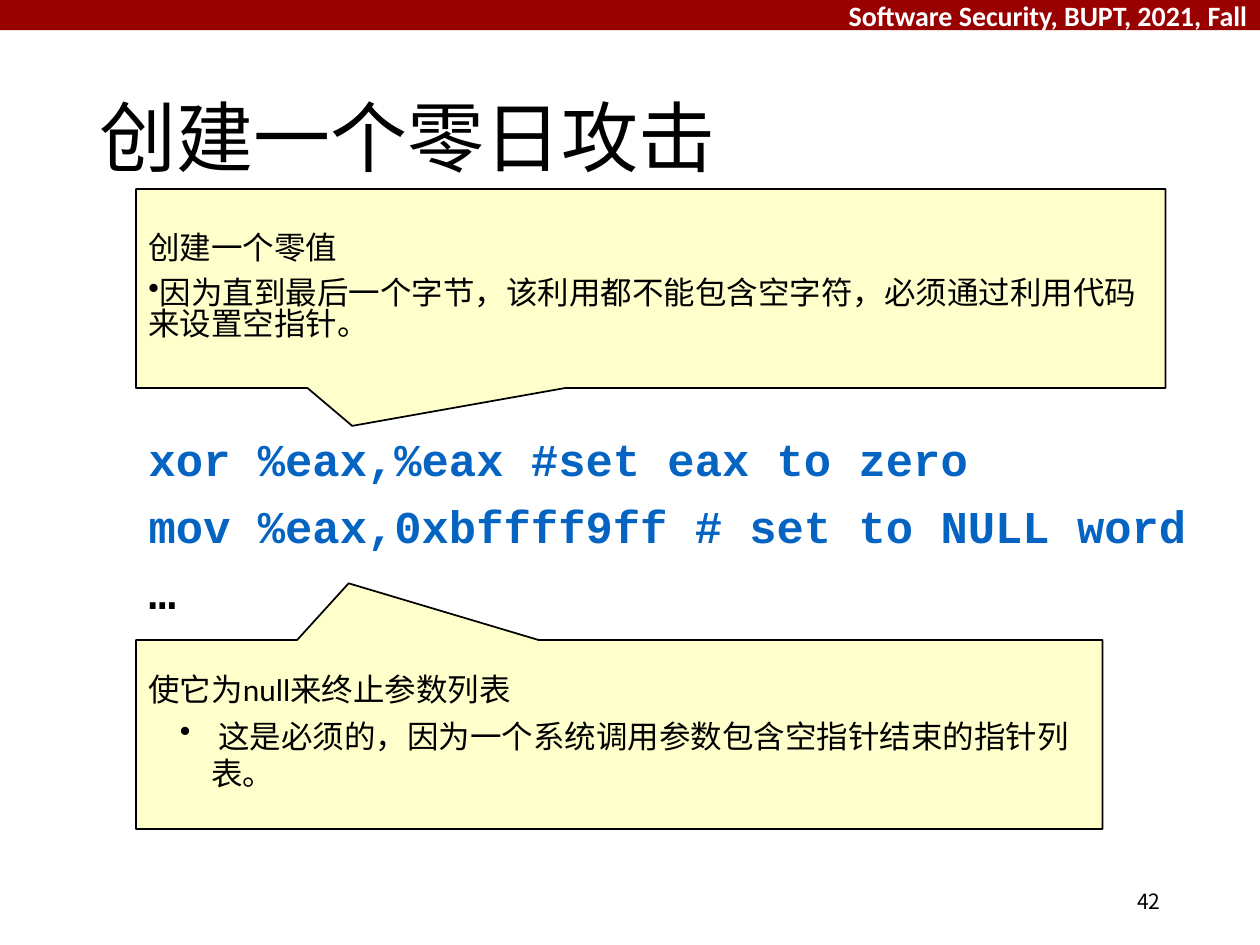
from dataclasses import dataclass

from lxml.etree import SubElement
from pptx import Presentation
from pptx.dml.color import RGBColor
from pptx.enum.shapes import MSO_SHAPE as Shape
from pptx.enum.text import MSO_ANCHOR as Anchor, MSO_AUTO_SIZE as Fit, PP_ALIGN as Align
from pptx.oxml.ns import qn
from pptx.util import Emu, Inches, Pt

WIDTH, HEIGHT = Inches(10), Inches(7.5)
RED = RGBColor(0x99, 0x00, 0x00)
CREAM = RGBColor(0xFF, 0xFF, 0xCC)
BLUE = RGBColor(0x05, 0x63, 0xC1)
BLACK = RGBColor(0, 0, 0)
WHITE = RGBColor(0xFF, 0xFF, 0xFF)


@dataclass
class Box:
    """A frame in percent of the slide's width and height."""
    left: float
    top: float
    width: float
    height: float

    def lengths(self) -> tuple:
        return (Emu(round(WIDTH * self.left / 100)), Emu(round(HEIGHT * self.top / 100)),
                Emu(round(WIDTH * self.width / 100)), Emu(round(HEIGHT * self.height / 100)))


@dataclass
class Line:
    text: str
    size: float = 18
    face: str = "Calibri"
    color: RGBColor = BLACK
    bold: bool = False
    align: Align = Align.LEFT
    pitch: float = 1.0
    before: float = 0
    after: float = 0
    margin: float = 0
    indent: float = 0
    bullet: str = ""


@dataclass
class Callout:
    box: Box
    tip: tuple[float, float]
    lines: list[Line]


def place(shape, box: Box) -> None:
    shape.left, shape.top, shape.width, shape.height = box.lengths()


def write(shape, lines: list[Line], anchor: Anchor = Anchor.TOP) -> None:
    frame = shape.text_frame
    frame.word_wrap = True
    frame.auto_size = Fit.NONE
    frame.vertical_anchor = anchor
    for i, line in enumerate(lines):
        para = frame.add_paragraph() if i else frame.paragraphs[0]
        para.text = line.text
        para.alignment = line.align
        para.line_spacing = line.pitch
        para.space_before, para.space_after = Pt(line.before), Pt(line.after)
        font = para.font
        font.size, font.name, font.bold = Pt(line.size), line.face, line.bold
        font.color.rgb = line.color
        for run in para.runs:
            run.font.size, run.font.name, run.font.bold = font.size, font.name, font.bold
            run.font.color.rgb = line.color
        mark(para, line)


def mark(para, line: Line) -> None:
    """Set indents and the bullet, which must come before defRPr."""
    props = para._p.get_or_add_pPr()
    props.set("marL", str(Inches(line.margin)))
    props.set("indent", str(Inches(line.indent)))
    if line.bullet:
        item = SubElement(props, qn("a:buChar"), char=line.bullet)
    else:
        item = SubElement(props, qn("a:buNone"))
    props.find(qn("a:defRPr")).addprevious(item)


def add_text(slide, box: Box, line: Line, anchor: Anchor = Anchor.TOP) -> None:
    write(slide.shapes.add_textbox(*box.lengths()), [line], anchor)


def add_shape(slide, kind: Shape, box: Box, fill: RGBColor):
    shape = slide.shapes.add_shape(kind, *box.lengths())
    shape.shadow.inherit = False
    shape.fill.solid()
    shape.fill.fore_color.rgb = fill
    return shape


def add_callout(slide, note: Callout) -> None:
    shape = add_shape(slide, Shape.RECTANGULAR_CALLOUT, note.box, CREAM)
    shape.line.color.rgb = BLACK
    shape.line.width = Pt(1)
    shape.adjustments[0], shape.adjustments[1] = note.tip
    write(shape, note.lines, Anchor.MIDDLE)


def tight(text: str, bullet: str = "") -> Line:
    return Line(text, pitch=0.8, before=3, after=5.4, bullet=bullet)


def code(text: str, color: RGBColor = BLUE) -> Line:
    return Line(text, 26, "Courier New", color, True, pitch=0.9, before=10,
                margin=0.62, indent=-0.62)


CALLOUTS = [
    Callout(Box(10.8, 20, 81.7, 21.07), (-0.29, 0.69), [
        tight("创建一个零值"),
        tight("因为直到最后一个字节，该利用都不能包含空字符，必须通过利用代码来设置空指针。", "•"),
    ]),
    Callout(Box(10.8, 67.73, 76.7, 20), (-0.28, -0.8), [
        tight("使它为null来终止参数列表"),
        Line(" 这是必须的，因为一个系统调用参数包含空指针结束的指针列表。",
             margin=0.5, indent=-0.25, bullet="•"),
    ]),
]


def main() -> None:
    deck = Presentation()
    deck.slide_width, deck.slide_height = WIDTH, HEIGHT
    slide = deck.slides.add_slide(deck.slide_layouts[1])

    # Header band
    band = add_shape(slide, Shape.RECTANGLE, Box(0, 0, 100, 3.2), RED)
    band.line.fill.background()
    add_text(slide, Box(41.7, -0.8, 58.3, 4.93),
             Line("Software Security, BUPT, 2021, Fall", 16, color=WHITE,
                  bold=True, align=Align.RIGHT))

    # Title and code
    title, body = slide.placeholders
    place(title, Box(6.9, 5.33, 86.2, 19.33))
    write(title, [Line("创建一个零日攻击", 44, "Arial", pitch=0.9)], Anchor.MIDDLE)
    place(body, Box(10.8, 45.6, 89.2, 27.73))
    write(body, [code("xor %eax,%eax #set eax to zero"),
                 code("mov %eax,0xbffff9ff # set to NULL word"),
                 code("…", BLACK)])

    # Callouts around the code
    for note in CALLOUTS:
        add_callout(slide, note)

    # Page number
    add_text(slide, Box(70.6, 92.67, 22.5, 5.33),
             Line("42", 12, "Noto Sans CJK SC", align=Align.RIGHT), Anchor.MIDDLE)

    deck.save("out.pptx")


if __name__ == "__main__":
    main()
